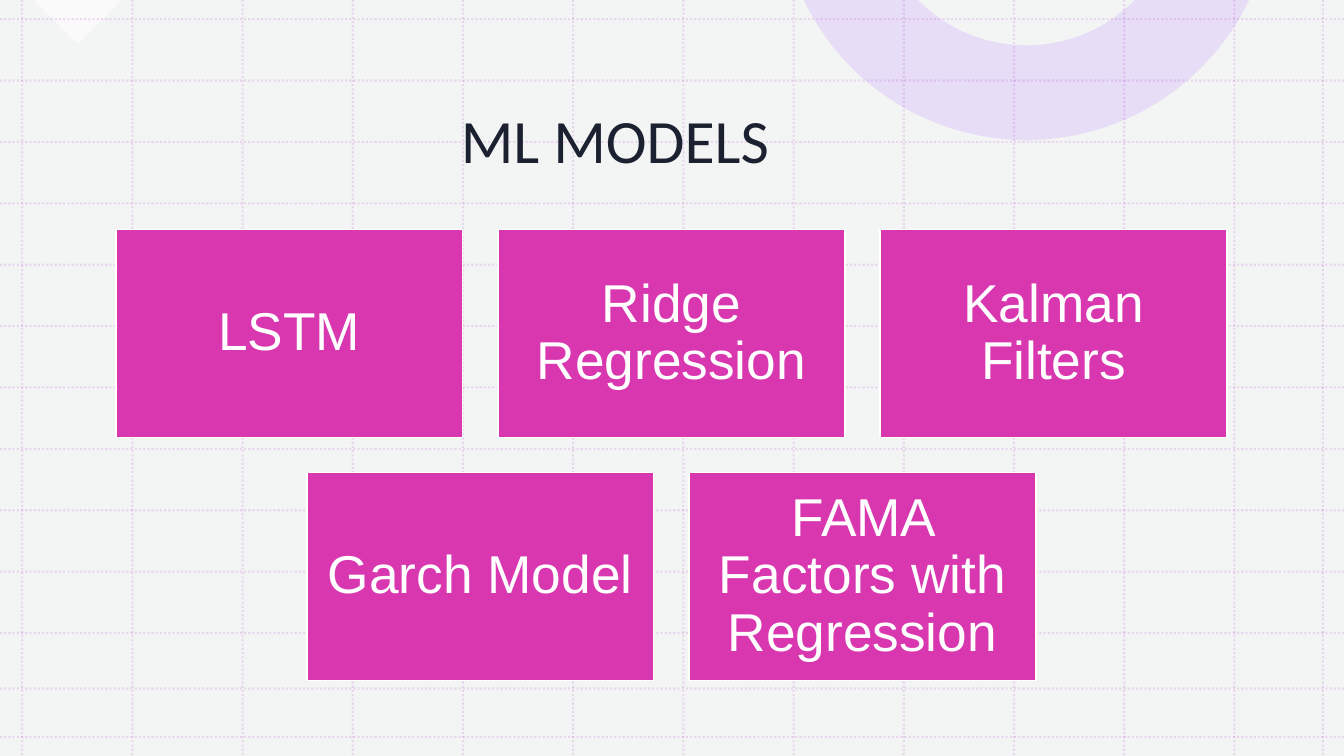
from math import asin, cos, pi, sin
from lxml import etree
from pptx import Presentation
from pptx.dml.color import RGBColor
from pptx.enum.dml import MSO_LINE
from pptx.enum.shapes import MSO_CONNECTOR, MSO_SHAPE
from pptx.enum.text import MSO_ANCHOR, MSO_AUTO_SIZE, PP_ALIGN
from pptx.oxml.ns import qn
from pptx.util import Inches, Pt

RECTANGLE = MSO_SHAPE.RECTANGLE
RIGHT_TRIANGLE = MSO_SHAPE.RIGHT_TRIANGLE
STRAIGHT = MSO_CONNECTOR.STRAIGHT
DOTTED = MSO_LINE.ROUND_DOT
CENTER = PP_ALIGN.CENTER
MIDDLE = MSO_ANCHOR.MIDDLE
BOTTOM = MSO_ANCHOR.BOTTOM
NO_FIT = MSO_AUTO_SIZE.NONE

WIDTH, HEIGHT = 13.33, 7.5


def paint(fill, color, opacity=100, element=None):
    fill.solid()
    fill.fore_color.rgb = RGBColor.from_string(color)
    if element is not None:
        for node in element.iter(qn("a:srgbClr")):
            etree.SubElement(node, qn("a:alpha"), val=str(opacity * 1000))


def write(shape, text, frame_format, font_format, color):
    frame = shape.text_frame
    for name, value in frame_format.items():
        setattr(frame, name, value)
    para = frame.paragraphs[0]
    para.alignment = CENTER
    para.line_spacing = 0.9
    span = para.add_run()
    span.text = text
    for name, value in font_format.items():
        setattr(span.font, name, value)
    paint(span.font.fill, color)


deck = Presentation()
deck.slide_width = Inches(WIDTH)
deck.slide_height = Inches(HEIGHT)
page = deck.slides.add_slide(deck.slide_layouts[5])
shapes = page.shapes
paint(page.background.fill, "F3F5F4")

corner = shapes.add_shape(RIGHT_TRIANGLE, Inches(0.46), Inches(-0.31), Inches(0.62), Inches(0.62))
corner.rotation = 315
corner.shadow.inherit = False
corner.line.fill.background()
paint(corner.fill, "FFFFFF", 50, corner.element)

ring_x, ring_y = 10.18, -1.06
steps = 60
ring_points = []
for radius, direction in ((2.45, 1), (1.51, -1)):
    start = asin(-ring_y / radius)
    for step in range(steps + 1):
        angle = pi / 2 + direction * (pi / 2 - start) * (2 * step / steps - 1)
        ring_points.append((Inches(ring_x + radius * cos(angle)), Inches(ring_y + radius * sin(angle))))
builder = shapes.build_freeform(*ring_points[0])
builder.add_line_segments(ring_points[1:], close=True)
ring = builder.convert_to_shape()
ring.shadow.inherit = False
ring.line.fill.background()
paint(ring.fill, "E5D7F7", 80, ring.element)

columns = [0.22 + 1.093 * i for i in range(12)] + [13.12]
rows = [0.19 + 0.609 * i for i in range(11)] + [6.83, 7.31]
grid = [(x, 0, x, HEIGHT) for x in columns] + [(0, y, WIDTH, y) for y in rows]
for ends in grid:
    grid_line = shapes.add_connector(STRAIGHT, *[Inches(end) for end in ends])
    grid_line.line.width = Pt(1.5)
    paint(grid_line.line.fill, "AC25C7", 15, grid_line.element)
    grid_line.line.dash_style = DOTTED
    etree.SubElement(grid_line.element.spPr, qn("a:effectLst"))

title = shapes.title
title_place = {"left": 0.22, "top": 0.7, "width": 11.76, "height": 1.1}
for name, value in title_place.items():
    setattr(title, name, Inches(value))
title_frame = {"vertical_anchor": BOTTOM, "word_wrap": True, "auto_size": NO_FIT}
write(title, "ML MODELS", title_frame, {"name": "Calibri", "size": Pt(44)}, "1B2130")
title.element.getparent().append(title.element)

models = [
    ["LSTM", "Ridge Regression", "Kalman Filters"],
    ["Garch Model", "FAMA Factors with Regression"],
]
box_frame = {"vertical_anchor": MIDDLE, "word_wrap": True}
for side in ("left", "top", "right", "bottom"):
    box_frame["margin_" + side] = Inches(0.16)
box_font = {"name": "Arial", "size": Pt(38)}
for row, names in enumerate(models):
    for column, model in enumerate(names):
        left = 1.15 + 3.79 * (column + row / 2)
        top = 2.28 + 2.41 * row
        box = shapes.add_shape(RECTANGLE, Inches(left), Inches(top), Inches(3.44), Inches(2.06))
        box.shadow.inherit = False
        paint(box.fill, "D937B0")
        paint(box.line.fill, "FFFFFF")
        box.line.width = Pt(1)
        write(box, model, box_frame, box_font, "FFFFFF")

deck.save("out.pptx")
